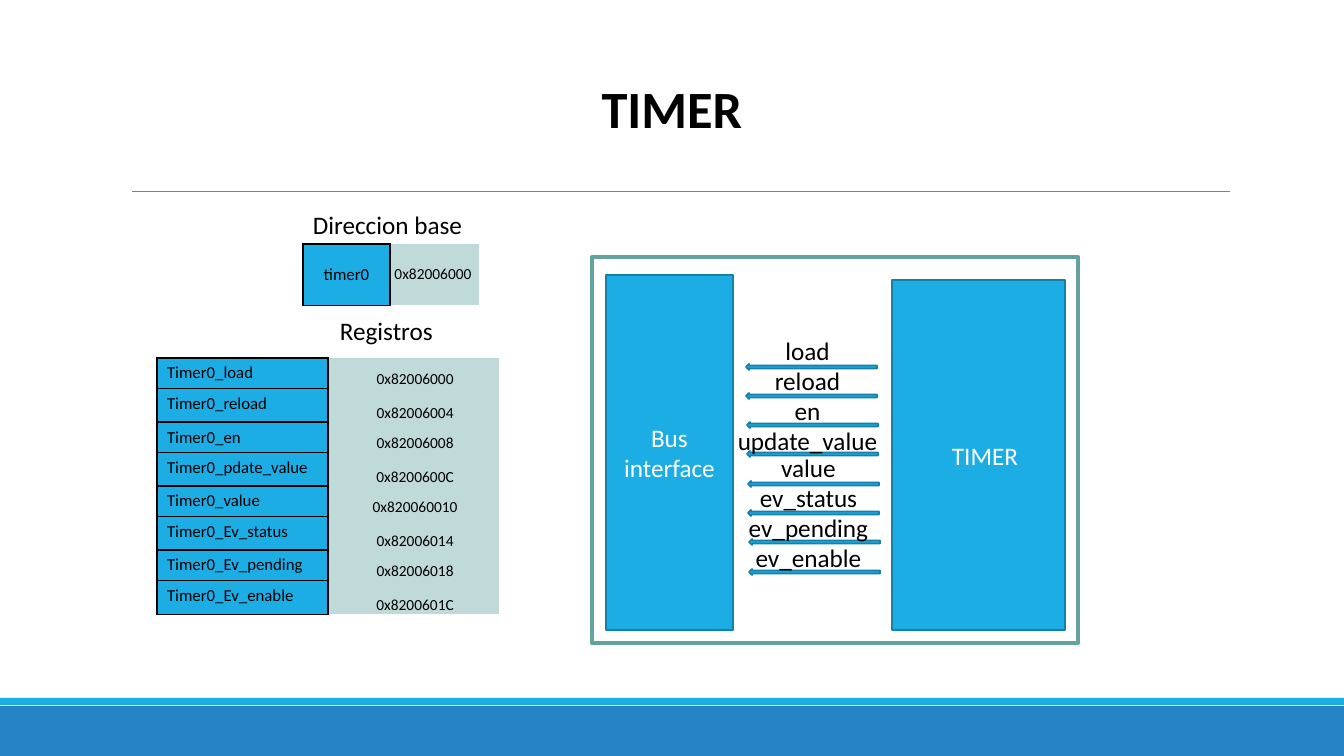
from lxml.etree import SubElement
from pptx import Presentation
from pptx.dml.color import RGBColor
from pptx.enum.shapes import MSO_CONNECTOR, MSO_SHAPE
from pptx.enum.text import MSO_ANCHOR as ANCHOR, PP_ALIGN as ALIGN
from pptx.oxml.ns import qn
from pptx.util import Pt

WHITE = RGBColor(0xFF, 0xFF, 0xFF)
BLACK = RGBColor(0x00, 0x00, 0x00)
GRAY = RGBColor(0x80, 0x80, 0x80)
BLUE = RGBColor(0x26, 0x83, 0xC6)
CYAN = RGBColor(0x1C, 0xAD, 0xE4)
CYAN_EDGE = RGBColor(0x15, 0x80, 0xA9)
TEAL = RGBColor(0x62, 0xA3, 0x9F)
PALE = RGBColor(0xC0, 0xDA, 0xD9)
NO_STYLE = "{2D5ABB26-0587-4C30-8999-92F81FD0307C}"
SCALE = 12192000 / 1344

REGISTERS = [
    ("Timer0_load", "0x82006000"), ("Timer0_reload", "0x82006004"),
    ("Timer0_en", "0x82006008"), ("Timer0_pdate_value", "0x8200600C"),
    ("Timer0_value", "0x820060010"), ("Timer0_Ev_status", "0x82006014"),
    ("Timer0_Ev_pending", "0x82006018"), ("Timer0_Ev_enable", "0x8200601C"),
]
SIGNALS = ["load", "reload", "en", "update_value",
           "value", "ev_status", "ev_pending", "ev_enable"]


def px(*lengths):
    return [round(n * SCALE) for n in lengths]


def write(tf, text, size=18, color=BLACK, bold=False, align=ALIGN.LEFT,
          spacing=None, indent=0):
    for i, line in enumerate(text.split("\n")):
        p = tf.add_paragraph() if i else tf.paragraphs[0]
        p.alignment = align
        if spacing:
            p.line_spacing = spacing
        if indent:
            p.level = 1
            p._p.get_or_add_pPr().set("marL", str(px(indent)[0]))
        if not line:
            SubElement(p._p, qn("a:endParaRPr"), sz=str(size * 100))
            continue
        r = p.add_run()
        r.text = line
        r.font.name = "Calibri"
        r.font.size = Pt(size)
        r.font.bold = bold
        r.font.color.rgb = color


class Deck:
    """Draws styled elements on one slide, with lengths in px."""

    def __init__(self):
        self.prs = Presentation()
        self.prs.slide_width, self.prs.slide_height = px(1344, 756)
        self.s = self.prs.slides.add_slide(self.prs.slide_layouts[6])

    def shape(self, x, y, w, h, fill=CYAN, line=CYAN_EDGE, width=1.25,
              kind=MSO_SHAPE.RECTANGLE, text="", **fmt):
        sp = self.s.shapes.add_shape(kind, *px(x, y, w, h))
        sp.shadow.inherit = False
        if fill is None:
            sp.fill.background()
        else:
            sp.fill.solid()
            sp.fill.fore_color.rgb = fill
        if line is None:
            sp.line.fill.background()
        else:
            sp.line.color.rgb = line
            sp.line.width = Pt(width)
        if text:
            sp.text_frame.vertical_anchor = ANCHOR.MIDDLE
            write(sp.text_frame, text, color=WHITE, **fmt)

    def text(self, x, y, w, h, text, wrap=True, anchor=ANCHOR.TOP, **fmt):
        tf = self.s.shapes.add_textbox(*px(x, y, w, h)).text_frame
        tf.word_wrap = wrap
        tf.vertical_anchor = anchor
        write(tf, text, **fmt)

    def rule(self, x1, y1, x2, y2, color, width):
        c = self.s.shapes.add_connector(MSO_CONNECTOR.STRAIGHT, *px(x1, y1, x2, y2))
        c.line.color.rgb = color
        c.line.width = Pt(width)
        SubElement(c._element.spPr, qn("a:effectLst"))

    def table(self, x, y, cols, rows):
        frame = self.s.shapes.add_table(
            len(rows), len(cols), *px(x, y, sum(cols), sum(rows)))
        tbl = frame.table
        tbl.first_row = tbl.horz_banding = False
        tbl._tbl.tblPr[0].text = NO_STYLE
        for col, w in zip(tbl.columns, px(*cols)):
            col.width = w
        for row, h in zip(tbl.rows, px(*rows)):
            row.height = h
        return tbl

    def cell(self, cell, text, fill, tight=True, border=False,
             anchor=ANCHOR.BOTTOM, **fmt):
        if border:
            for side in ("lnL", "lnR", "lnT", "lnB"):
                ln = SubElement(cell._tc.get_or_add_tcPr(), qn("a:" + side), w="12700")
                paint = SubElement(ln, qn("a:solidFill"))
                SubElement(paint, qn("a:srgbClr"), val=str(BLACK))
        cell.fill.solid()
        cell.fill.fore_color.rgb = fill
        if tight:
            cell.margin_left, cell.margin_right, cell.margin_top = px(1, 1, 1)
            cell.margin_bottom = 0
        cell.vertical_anchor = anchor
        write(cell.text_frame, text, **fmt)


def main():
    d = Deck()
    d.shape(0, 706, 1344, 50, fill=BLUE, line=None)
    d.shape(0, 698, 1344, 7, line=None)
    d.rule(132, 191, 1230, 191, GRAY, 0.5)
    d.text(575, 66, 194, 94, "TIMER", anchor=ANCHOR.MIDDLE, size=37.4,
           bold=True, align=ALIGN.CENTER, spacing=0.8)

    d.shape(592, 257, 486, 386, fill=None, line=TEAL, width=3)
    d.shape(606, 275, 127, 355, text="Bus interface", align=ALIGN.CENTER)
    d.shape(892, 280, 173, 350, text="TIMER", indent=50)

    d.text(303, 204, 197, 40, "Direccion base")
    base = d.table(303, 244, [87, 89], [20] * 3)
    for i, address in enumerate(["", " 0x82006000", ""]):
        d.cell(base.cell(i, 0), "" if i else "timer0", CYAN, border=True,
               anchor=ANCHOR.MIDDLE, size=12, align=ALIGN.CENTER)
        d.cell(base.cell(i, 1), address, PALE, size=11)
    base.cell(0, 0).merge(base.cell(2, 0))

    d.text(330, 310, 186, 40, "Registros")
    for first in range(0, len(REGISTERS), 2):
        pair = d.table(157, 358 + 32 * first, [171, 171], [30, 34])
        for i, (name, address) in enumerate(REGISTERS[first:first + 2]):
            d.cell(pair.cell(i, 0), name, CYAN, tight=False, border=True,
                   anchor=ANCHOR.TOP, size=12)
            d.cell(pair.cell(i, 1), " " + address, PALE, size=11,
                   align=ALIGN.CENTER)

    for i in range(len(SIGNALS)):
        d.shape(746 + i // 2, 364 + 205 * i // 7, 131, 6, kind=MSO_SHAPE.LEFT_ARROW)
    for x, y, w, names in [(727, 330, 161, SIGNALS[:4]), (738, 447, 141, SIGNALS[4:])]:
        d.text(x, y, w, 132, "\n".join(names), wrap=False, align=ALIGN.CENTER)
    d.prs.save("out.pptx")


if __name__ == "__main__":
    main()
